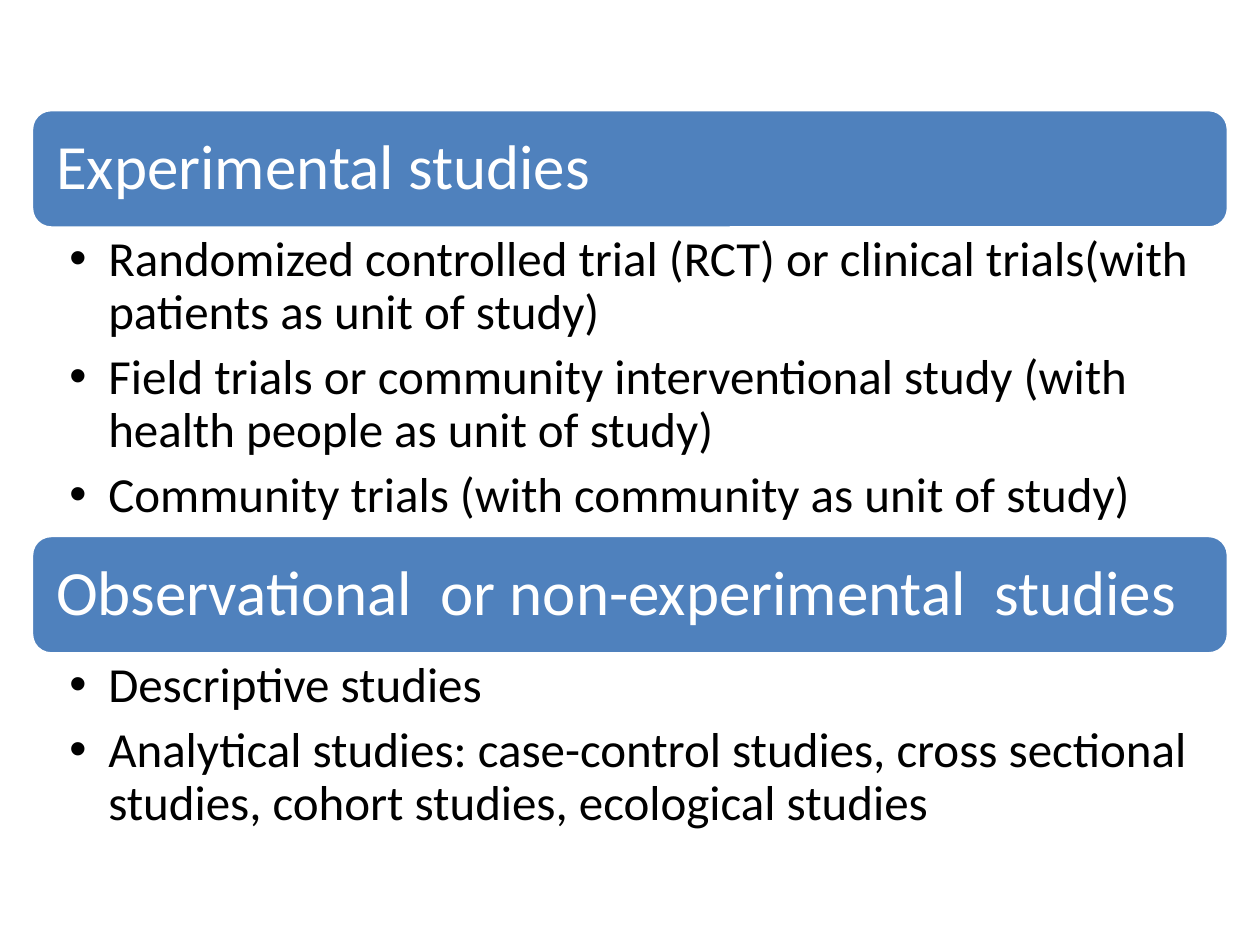
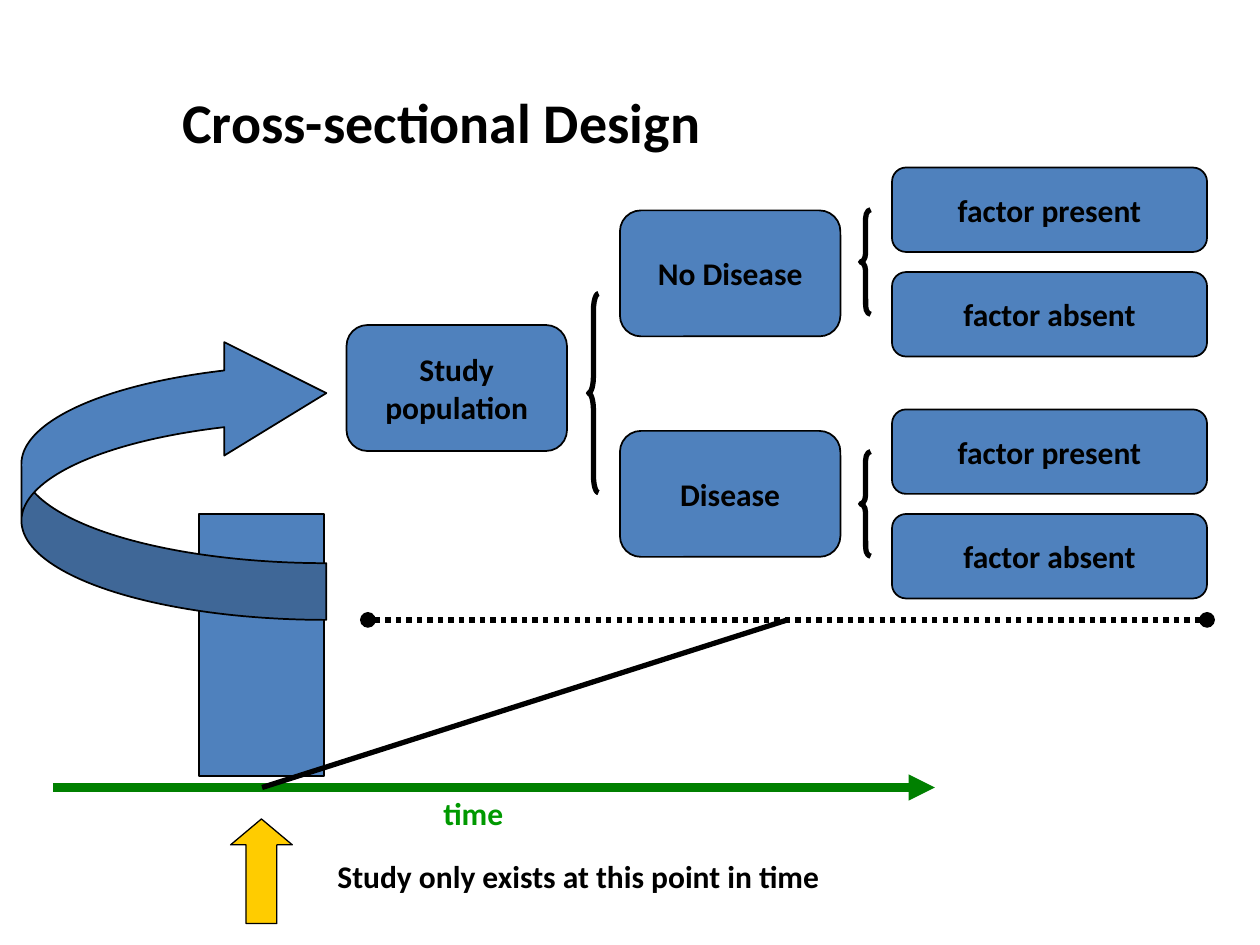
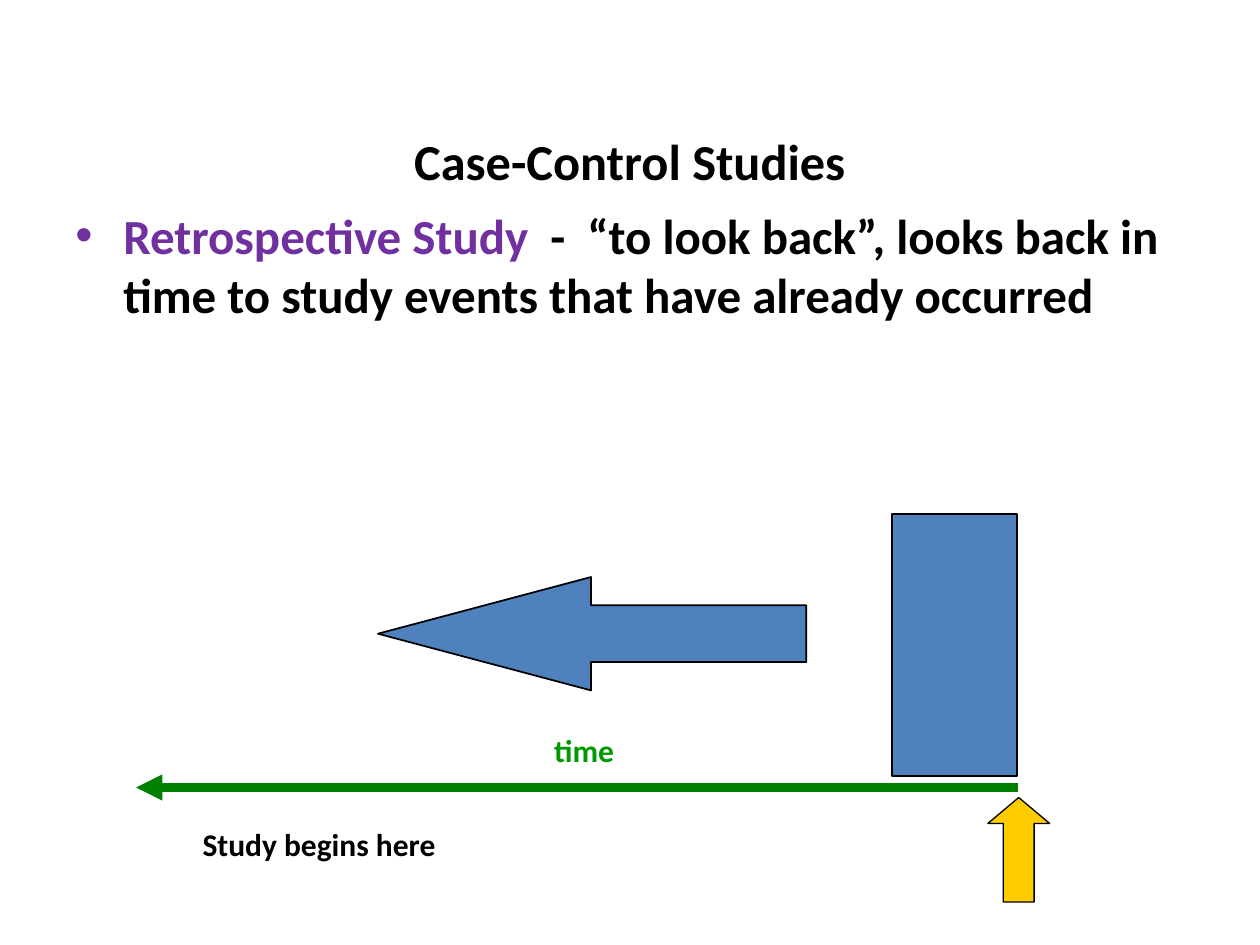
from dataclasses import dataclass

from lxml.etree import SubElement
from pptx import Presentation
from pptx.dml.color import RGBColor
from pptx.enum.dml import MSO_LINE
from pptx.enum.shapes import MSO_CONNECTOR, MSO_SHAPE
from pptx.enum.text import MSO_ANCHOR, PP_ALIGN
from pptx.oxml.ns import qn
from pptx.util import Inches, Pt


@dataclass(frozen=True)
class Theme:
    font: str = "Calibri"
    blue: str = "4F81BD"
    black: str = "000000"
    white: str = "FFFFFF"
    purple: str = "7030A0"
    axis_green: str = "008000"
    label_green: str = "009900"
    yellow: str = "FFCC00"
    band_size: float = 36
    title_size: float = 32
    subtitle_size: float = 28.8
    body_size: float = 28
    label_size: float = 18


THEME = Theme()

STUDY_TYPES = [
    ("Experimental studies", 2.44, [
        "Randomized controlled trial (RCT) or clinical trials(with patients as unit of study)",
        "Field trials or community interventional study (with health people as unit of study)",
        "Community trials (with community as unit of study)",
    ]),
    ("Observational  or non-experimental  studies", 1.51, [
        "Descriptive studies",
        "Analytical studies: case-control studies, cross sectional studies, cohort studies, ecological studies",
    ]),
]
OUTCOMES = [("No Disease", 1.67, 1.33), ("Disease", 3.42, 3.25)]
FACTORS = ["factor present", "factor absent"]
RETROSPECTIVE = [
    ("Retrospective Study  ", THEME.purple),
    ("-  “to look back”, looks back in time to study events that have already occurred", THEME.black),
]

BAND_LEFT, BAND_TOP, BAND_WIDTH, BAND_HEIGHT = 0.25, 0.87, 9.5, 0.94
AXIS_TOP = 6.25
GROUP_SIZE = (1.75, 1)
FACTOR_WIDTH, FACTOR_HEIGHT, FACTOR_STEP = 2.5, 0.67, 0.83


def color(code):
    return RGBColor.from_string(code)


def style_font(font, size, code, bold):
    font.name = THEME.font
    font.size = Pt(size)
    font.bold = bold
    font.color.rgb = color(code)


def write(shape, paragraphs, size, code=THEME.black, bold=True, align=PP_ALIGN.LEFT,
          anchor=MSO_ANCHOR.TOP, insets=(0.1, 0.05, 0.1, 0.05)):
    frame = shape.text_frame
    frame.word_wrap = True
    frame.vertical_anchor = anchor
    frame.margin_left, frame.margin_top, frame.margin_right, frame.margin_bottom = map(Inches, insets)
    for index, text in enumerate(paragraphs):
        para = frame.paragraphs[0] if index == 0 else frame.add_paragraph()
        para.text = text
        para.alignment = align
        style_font(para.font, size, code, bold)
    return frame


def add_text(page, place, paragraphs, size, **options):
    box = page.shapes.add_textbox(*map(Inches, place))
    return write(box, paragraphs, size, **options)


def add_figure(page, kind, place, fill=THEME.blue, line=THEME.black, weight=1, adjust=()):
    shape = page.shapes.add_shape(kind, *map(Inches, place))
    shape.shadow.inherit = False
    if fill:
        shape.fill.solid()
        shape.fill.fore_color.rgb = color(fill)
    else:
        shape.fill.background()
    shape.line.color.rgb = color(line)
    shape.line.width = Pt(weight)
    for index, value in enumerate(adjust):
        shape.adjustments[index] = value
    return shape


def add_label_box(page, place, text):
    box = add_figure(page, MSO_SHAPE.ROUNDED_RECTANGLE, place)
    write(box, text.split("\n"), THEME.label_size, align=PP_ALIGN.CENTER, anchor=MSO_ANCHOR.MIDDLE)


def add_brace(page, left, top, height):
    width = 0.08
    add_figure(page, MSO_SHAPE.LEFT_BRACE, (left, top, width, height), fill=None, weight=3,
               adjust=(height / width / 12, 0.5))


def add_line(page, start, end, code=THEME.black, weight=3, dash=None, head=None, tail=None):
    line = page.shapes.add_connector(MSO_CONNECTOR.STRAIGHT, *map(Inches, start + end))
    line.line.color.rgb = color(code)
    line.line.width = Pt(weight)
    if dash:
        line.line.dash_style = dash
    properties = line.element.spPr
    for tag, kind in (("a:headEnd", head), ("a:tailEnd", tail)):
        if kind:
            SubElement(properties.find(qn("a:ln")), qn(tag), type=kind)
    SubElement(properties, qn("a:effectLst"))


def add_bullet(para, hanging):
    properties = para._p.get_or_add_pPr()
    properties.set("marL", str(Inches(hanging)))
    properties.set("indent", str(-Inches(hanging)))
    SubElement(properties, qn("a:buFont"), typeface="Arial")
    SubElement(properties, qn("a:buChar"), char="•")


def add_timeline(page, start, end, block_left, marker, time_label, note, note_place):
    add_figure(page, MSO_SHAPE.RECTANGLE, (block_left, 4.08, 0.99, 2.08))
    add_line(page, (start, AXIS_TOP), (end, AXIS_TOP), THEME.axis_green, 5, tail="triangle")
    add_text(page, (*time_label, 0.83, 0.5), ["time"], THEME.label_size, code=THEME.label_green)
    add_figure(page, MSO_SHAPE.UP_ARROW, (*marker, 0.49, 0.83), fill=THEME.yellow, weight=0.75,
               adjust=(0.5, 0.42))
    add_text(page, note_place, [note], THEME.label_size)


def build_study_types(page):
    top = BAND_TOP
    for heading, list_height, items in STUDY_TYPES:
        band = add_figure(page, MSO_SHAPE.ROUNDED_RECTANGLE, (BAND_LEFT, top, BAND_WIDTH, BAND_HEIGHT),
                          line=THEME.white, weight=2)
        frame = write(band, [heading], THEME.band_size, THEME.white, bold=False,
                      anchor=MSO_ANCHOR.MIDDLE, insets=(0.15,) * 4)
        frame.paragraphs[0].line_spacing = 0.9
        top += BAND_HEIGHT
        frame = add_text(page, (BAND_LEFT, top, BAND_WIDTH, list_height), items, THEME.body_size,
                         bold=False, insets=(0.3, 0.05, 0.28, 0.05))
        for para in frame.paragraphs:
            para.line_spacing = 0.9
            para.space_after = Pt(6.8)
            add_bullet(para, 0.31)
        top += list_height


def build_cross_sectional(page):
    add_text(page, (0.42, 0.5, 6.17, 0.92), ["Cross-sectional Design"], THEME.title_size,
             align=PP_ALIGN.CENTER, anchor=MSO_ANCHOR.MIDDLE)
    add_timeline(page, 0.42, 7.42, 1.58, (1.83, 6.5), (3.42, 6.25),
                 "Study only exists at this point in time", (2.58, 6.75, 5.45, 0.5))
    sweep = add_figure(page, MSO_SHAPE.CURVED_RIGHT_ARROW, (0.17, 2.67, 2.42, 2.25),
                       adjust=(0.2, 0.4, 0.36))
    sweep.element.spPr.xfrm.set("flipV", "1")
    add_label_box(page, (2.75, 2.58, *GROUP_SIZE), "Study\npopulation")
    add_brace(page, 4.67, 2.33, 1.58)
    for outcome, outcome_top, factor_top in OUTCOMES:
        add_label_box(page, (4.92, outcome_top, *GROUP_SIZE), outcome)
        add_brace(page, 6.83, factor_top + FACTOR_HEIGHT / 2, FACTOR_STEP)
        for index, factor in enumerate(FACTORS):
            add_label_box(page, (7.08, factor_top + index * FACTOR_STEP, FACTOR_WIDTH, FACTOR_HEIGHT), factor)
    add_line(page, (2.92, 4.92), (9.58, 4.92), dash=MSO_LINE.ROUND_DOT, head="oval", tail="oval")
    add_line(page, (2.08, AXIS_TOP), (6.25, 4.92))


def build_case_control(page):
    add_text(page, (0.75, 0.97, 8.5, 0.6), ["Case-Control Studies"], THEME.subtitle_size,
             align=PP_ALIGN.CENTER, anchor=MSO_ANCHOR.MIDDLE)
    frame = add_text(page, (0.5, 1.58, 9.08, 1.75), [""], THEME.body_size)
    para = frame.paragraphs[0]
    for text, code in RETROSPECTIVE:
        span = para.add_run()
        span.text = text
        style_font(span.font, THEME.body_size, code, True)
    add_bullet(para, 0.38)
    add_figure(page, MSO_SHAPE.LEFT_ARROW, (3, 4.58, 3.4, 0.9), adjust=(0.5, 1.88))
    add_timeline(page, 8.08, 1.08, 7.08, (7.84, 6.33), (4.3, 5.75),
                 "Study begins here", (1.51, 6.5, 2.74, 0.5))


def main():
    deck = Presentation()
    deck.slide_width, deck.slide_height = Inches(10), Inches(7.5)
    for build in (build_study_types, build_cross_sectional, build_case_control):
        build(deck.slides.add_slide(deck.slide_layouts[6]))
    deck.save("out.pptx")


if __name__ == "__main__":
    main()
